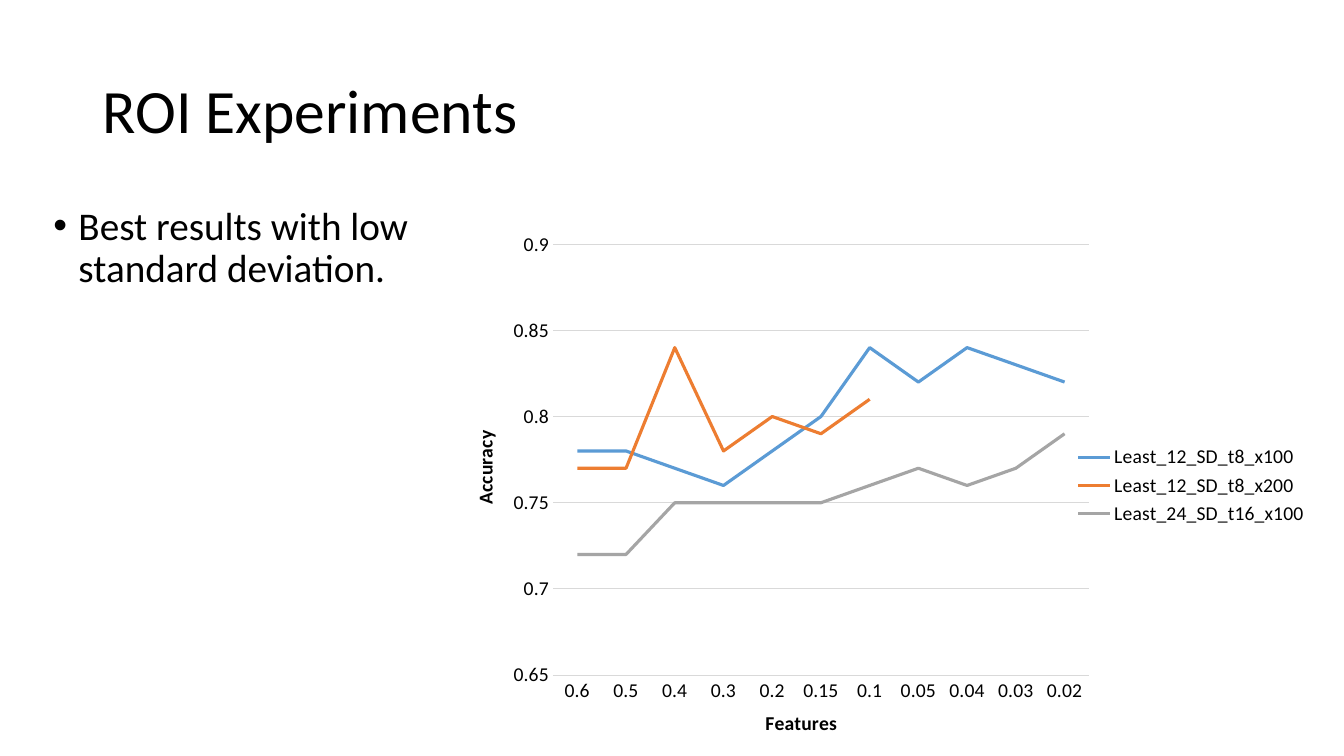
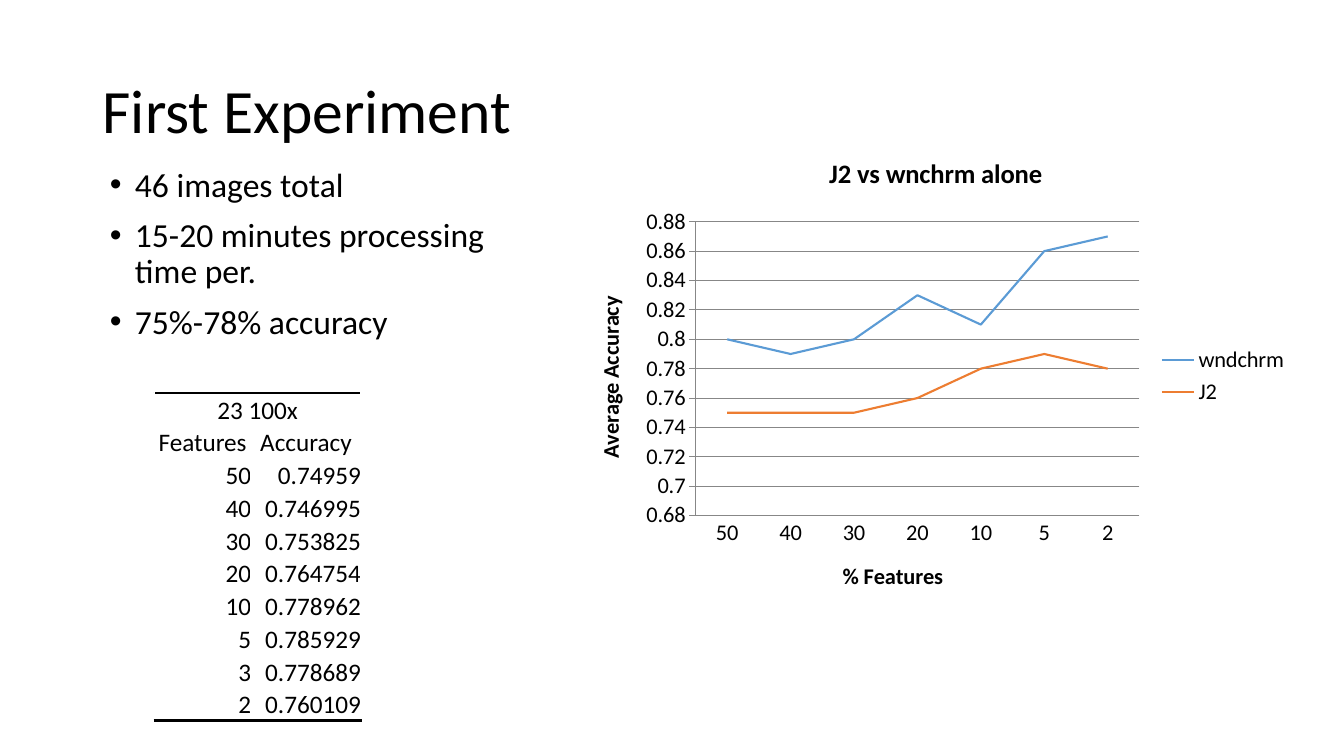
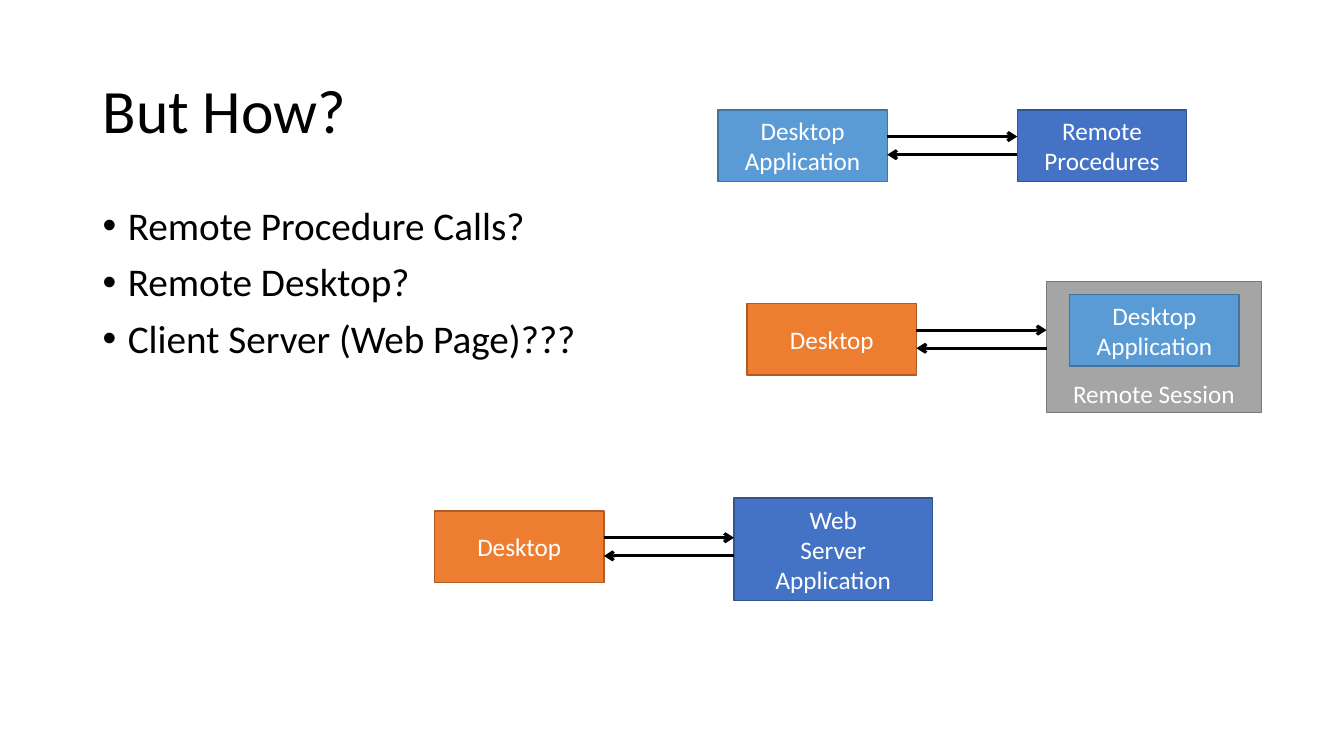
from dataclasses import dataclass

from lxml import etree
from pptx import Presentation
from pptx.chart.data import CategoryChartData
from pptx.dml.color import RGBColor
from pptx.enum.chart import XL_CHART_TYPE, XL_LEGEND_POSITION, XL_TICK_MARK
from pptx.enum.shapes import MSO_CONNECTOR, MSO_SHAPE
from pptx.enum.text import MSO_ANCHOR, PP_ALIGN
from pptx.oxml import parse_xml
from pptx.oxml.ns import nsdecls, qn
from pptx.util import Inches, Pt

LINE_CHART = XL_CHART_TYPE.LINE
LEGEND_RIGHT = XL_LEGEND_POSITION.RIGHT
TICK_NONE, TICK_OUT = XL_TICK_MARK.NONE, XL_TICK_MARK.OUTSIDE
RECTANGLE, STRAIGHT = MSO_SHAPE.RECTANGLE, MSO_CONNECTOR.STRAIGHT
TOP, MIDDLE, BOTTOM = MSO_ANCHOR.TOP, MSO_ANCHOR.MIDDLE, MSO_ANCHOR.BOTTOM
LEFT, CENTER, RIGHT = PP_ALIGN.LEFT, PP_ALIGN.CENTER, PP_ALIGN.RIGHT


@dataclass(frozen=True)
class Theme:
    font: str = "Calibri"
    ink: str = "000000"
    paper: str = "FFFFFF"
    blue: tuple = ("5B9BD5", "43739E")
    orange: tuple = ("ED7D31", "AF5C24")
    gray: tuple = ("A5A5A5", "7A7A7A")
    navy: tuple = ("4472C4", "325491")
    pale_grid: str = "D9D9D9"
    dark_grid: str = "878787"
    title_size: int = 44
    body_size: int = 28
    small_body_size: int = 24
    label_size: int = 18
    chart_title_size: int = 19


THEME = Theme()
SERIES_COLORS = [THEME.blue[0], THEME.orange[0], THEME.gray[0]]
NODE_WIDTH, NODE_HEIGHT = 1.68, 0.71
ARROW_LENGTH, ARROW_GAP = 1.29, 0.18


def rgb(color):
    return RGBColor.from_string(color)


def inches(box):
    return [Inches(length) for length in box]


def set_font(font, size, color=THEME.ink, bold=False):
    font.name, font.size, font.bold = THEME.font, Pt(size), bold
    font.color.rgb = rgb(color)


def write_text(frame, lines, size, color=THEME.ink, align=LEFT, anchor=TOP,
               bullets=False, spacing=None, gap=0):
    frame.word_wrap = True
    frame.vertical_anchor = anchor
    for index, line in enumerate(lines):
        para = frame.add_paragraph() if index else frame.paragraphs[0]
        if bullets:
            properties = para._p.get_or_add_pPr()
            properties.set("marL", str(Inches(0.25)))
            properties.set("indent", str(Inches(-0.25)))
            etree.SubElement(properties, qn("a:buFont"), typeface="Arial")
            etree.SubElement(properties, qn("a:buChar"), char="•")
        para.alignment = align
        if spacing:
            para.line_spacing = spacing
        if index and gap:
            para.space_before = Pt(gap)
        span = para.add_run()
        span.text = line
        set_font(span.font, size, color)


def add_title(page, text, width=11.5):
    box = page.shapes.add_textbox(*inches((0.92, 0.4, width, 1.45)))
    write_text(box.text_frame, [text], THEME.title_size, anchor=MIDDLE, spacing=0.9)


def add_bullets(page, box, lines, size=THEME.body_size):
    body = page.shapes.add_textbox(*inches(box))
    write_text(body.text_frame, lines, size, bullets=True, spacing=0.9, gap=10)


def set_plot_area(chart, fractions):
    """Fix the inner plot area as fractions of the chart frame."""
    plot_area = chart.element.xpath(".//c:plotArea")[0]
    for layout in plot_area.findall(qn("c:layout")):
        plot_area.remove(layout)
    parts = "".join(f'<c:{tag} val="{value}"/>'
                    for tag, value in zip("xywh", fractions))
    plot_area.insert(0, parse_xml(
        f'<c:layout {nsdecls("c")}><c:manualLayout><c:layoutTarget val="inner"/>'
        f'<c:xMode val="edge"/><c:yMode val="edge"/>{parts}'
        '</c:manualLayout></c:layout>'))


def style_axis(axis, title, size, line_color, tick):
    axis.has_title = True
    axis.axis_title.text_frame.text = title
    set_font(axis.axis_title.text_frame.paragraphs[0].runs[0].font, size, bold=True)
    set_font(axis.tick_labels.font, size)
    axis.major_tick_mark, axis.minor_tick_mark = tick, TICK_NONE
    if line_color:
        axis.format.line.color.rgb = rgb(line_color)
        axis.format.line.width = Pt(0.75)
    else:
        axis.format.line.fill.background()


def add_line_chart(page, box, categories, series, axis_titles, scale, plot, size,
                   line_width, grid, title=None, value_line=None, value_tick=TICK_NONE):
    data = CategoryChartData(number_format="General")
    data.categories = categories
    for name, values in series.items():
        missing = [None] * (len(categories) - len(values))
        data.add_series(name, values + missing)
    chart = page.shapes.add_chart(LINE_CHART, *inches(box), data).chart
    set_font(chart.font, size)
    chart.has_title = title is not None
    if title:
        chart.chart_title.text_frame.text = title
        span = chart.chart_title.text_frame.paragraphs[0].runs[0]
        set_font(span.font, THEME.chart_title_size, bold=True)
    chart.has_legend = True
    chart.legend.position = LEGEND_RIGHT
    chart.legend.include_in_layout = False
    set_font(chart.legend.font, size)

    style_axis(chart.category_axis, axis_titles[0], size, grid, TICK_NONE)
    values = chart.value_axis
    style_axis(values, axis_titles[1], size, value_line, value_tick)
    values.minimum_scale, values.maximum_scale, values.major_unit = scale
    values.has_major_gridlines = True
    values.major_gridlines.format.line.color.rgb = rgb(grid)
    values.major_gridlines.format.line.width = Pt(0.75)

    chart.plots[0].vary_by_categories = False
    for line, color in zip(chart.plots[0].series, SERIES_COLORS):
        line.smooth = False
        line.format.line.color.rgb = rgb(color)
        line.format.line.width = Pt(line_width)
    set_plot_area(chart, plot)


def add_border(cell, side):
    border = etree.SubElement(cell._tc.get_or_add_tcPr(), qn(f"a:{side}"),
                              w=str(Pt(2)))
    fill = etree.SubElement(border, qn("a:solidFill"))
    etree.SubElement(fill, qn("a:srgbClr"), val=THEME.ink)


def add_accuracy_table(page, box, heading, rows):
    """Heading across both columns, column names, then right-aligned figures."""
    lines = [(heading, ""), ("Features", "Accuracy"), *rows]
    table = page.shapes.add_table(len(lines), 2, *inches(box)).table
    table.first_row = table.horz_banding = False
    table.columns[0].width, table.columns[1].width = inches((0.96, 1.09))
    table.cell(0, 0).merge(table.cell(0, 1))
    for row, texts in enumerate(lines):
        table.rows[row].height = Inches(box[3] / len(lines))
        for column, text in enumerate(texts):
            cell = table.cell(row, column)
            cell.margin_left = cell.margin_right = 0
            cell.margin_top = cell.margin_bottom = 0
            cell.vertical_anchor = BOTTOM
            if row == 0:
                add_border(cell, "lnT")
            if row == len(lines) - 1:
                add_border(cell, "lnB")
            cell.fill.solid()
            cell.fill.fore_color.rgb = rgb(THEME.paper)
            if text:
                write_text(cell.text_frame, [text], THEME.label_size,
                           align=CENTER if row < 2 else RIGHT, anchor=BOTTOM)


def add_node(page, box, lines, colors, anchor=MIDDLE):
    node = page.shapes.add_shape(RECTANGLE, *inches(box))
    node.shadow.inherit = False
    node.fill.solid()
    node.fill.fore_color.rgb = rgb(colors[0])
    node.line.color.rgb = rgb(colors[1])
    node.line.width = Pt(1)
    node.text_frame.margin_bottom = Inches(0.04 if anchor == BOTTOM else 0.05)
    write_text(node.text_frame, lines, THEME.label_size, THEME.paper, CENTER, anchor)


def add_arrow(page, start, end, level):
    arrow = page.shapes.add_connector(STRAIGHT, *inches((start, level, end, level)))
    arrow.line.color.rgb = rgb(THEME.ink)
    arrow.line.width = Pt(2.25)
    properties = arrow.element.spPr
    etree.SubElement(properties.find(qn("a:ln")), qn("a:tailEnd"), type="arrow")
    etree.SubElement(properties, qn("a:effectLst"))


def add_exchange(page, left, top, client, client_colors, server, server_colors,
                 server_size=(NODE_WIDTH, NODE_HEIGHT), rise=0, anchor=MIDDLE):
    """Client and server joined by arrows both ways; returns the server's corner."""
    near = left + NODE_WIDTH
    far = near + ARROW_LENGTH
    middle = top + NODE_HEIGHT / 2
    add_node(page, (left, top, NODE_WIDTH, NODE_HEIGHT), client, client_colors)
    add_node(page, (far, top - rise, *server_size), server, server_colors, anchor)
    add_arrow(page, near, far, middle - ARROW_GAP / 2)
    add_arrow(page, far, near, middle + ARROW_GAP / 2)
    return far, top - rise


def build_roi_slide(page):
    add_title(page, "ROI Experiments")
    add_bullets(page, (0.43, 2, 3.85, 4.76),
                ["Best results with low standard deviation."])
    series = {
        "Least_12_SD_t8_x100": [0.78, 0.78, 0.77, 0.76, 0.78, 0.8, 0.84, 0.82,
                                0.84, 0.83, 0.82],
        "Least_12_SD_t8_x200": [0.77, 0.77, 0.84, 0.78, 0.8, 0.79, 0.81],
        "Least_24_SD_t16_x100": [0.72, 0.72, 0.75, 0.75, 0.75, 0.75, 0.76, 0.77,
                                 0.76, 0.77, 0.79],
    }
    categories = ["0.6", "0.5", "0.4", "0.3", "0.2", "0.15", "0.1", "0.05",
                  "0.04", "0.03", "0.02"]
    add_line_chart(page, (4.64, 2.27, 8.44, 5.09), categories, series,
                   ("Features", "Accuracy"), scale=(0.65, 0.9, 0.05),
                   plot=(0.1, 0.03, 0.63, 0.84), size=14, line_width=2.25,
                   grid=THEME.pale_grid)


def build_first_experiment_slide(page):
    add_title(page, "First Experiment")
    add_bullets(page, (0.99, 1.62, 4.29, 2.02),
                ["46 images total", "15-20 minutes processing time per.",
                 "75%-78% accuracy"], THEME.small_body_size)
    add_accuracy_table(page, (1.53, 3.9, 2.05, 3.25), "23 100x", [
        ("50", "0.74959"), ("40", "0.746995"), ("30", "0.753825"),
        ("20", "0.764754"), ("10", "0.778962"), ("5", "0.785929"),
        ("3", "0.778689"), ("2", "0.760109")])
    series = {"wndchrm": [0.8, 0.79, 0.8, 0.83, 0.81, 0.86, 0.87],
              "J2": [0.75, 0.75, 0.75, 0.76, 0.78, 0.79, 0.78]}
    add_line_chart(page, (5.67, 1.34, 7.22, 4.78),
                   ["50", "40", "30", "20", "10", "5", "2"], series,
                   ("% Features", "Average Accuracy"), scale=(0.68, 0.88, 0.02),
                   plot=(0.17, 0.18, 0.61, 0.61), size=16, line_width=1.5,
                   grid=THEME.dark_grid, title="J2 vs wnchrm alone",
                   value_line=THEME.dark_grid, value_tick=TICK_OUT)


def build_how_slide(page):
    add_title(page, "But How?", width=5.07)
    add_bullets(page, (0.92, 2, 5.05, 1.83),
                ["Remote Procedure Calls?", "Remote Desktop?",
                 "Client Server (Web Page)???"])
    application = ["Desktop", "Application"]
    add_exchange(page, 7.12, 1.09, application, THEME.blue,
                 ["Remote", "Procedures"], THEME.navy)
    left, top = add_exchange(page, 7.41, 3.01, ["Desktop"], THEME.orange,
                             ["Remote Session"], THEME.gray,
                             server_size=(2.13, 1.3), rise=0.22, anchor=BOTTOM)
    add_node(page, (left + 0.23, top + 0.13, NODE_WIDTH, NODE_HEIGHT),
             application, THEME.blue)
    add_exchange(page, 4.31, 5.07, ["Desktop"], THEME.orange,
                 ["Web", "Server", "Application"], THEME.navy,
                 server_size=(1.97, 1.02), rise=0.13)


def main():
    deck = Presentation()
    deck.slide_width, deck.slide_height = inches((13.33, 7.5))
    blank = deck.slide_layouts[6]
    for build in (build_roi_slide, build_first_experiment_slide, build_how_slide):
        build(deck.slides.add_slide(blank))
    deck.save("out.pptx")


if __name__ == "__main__":
    main()
